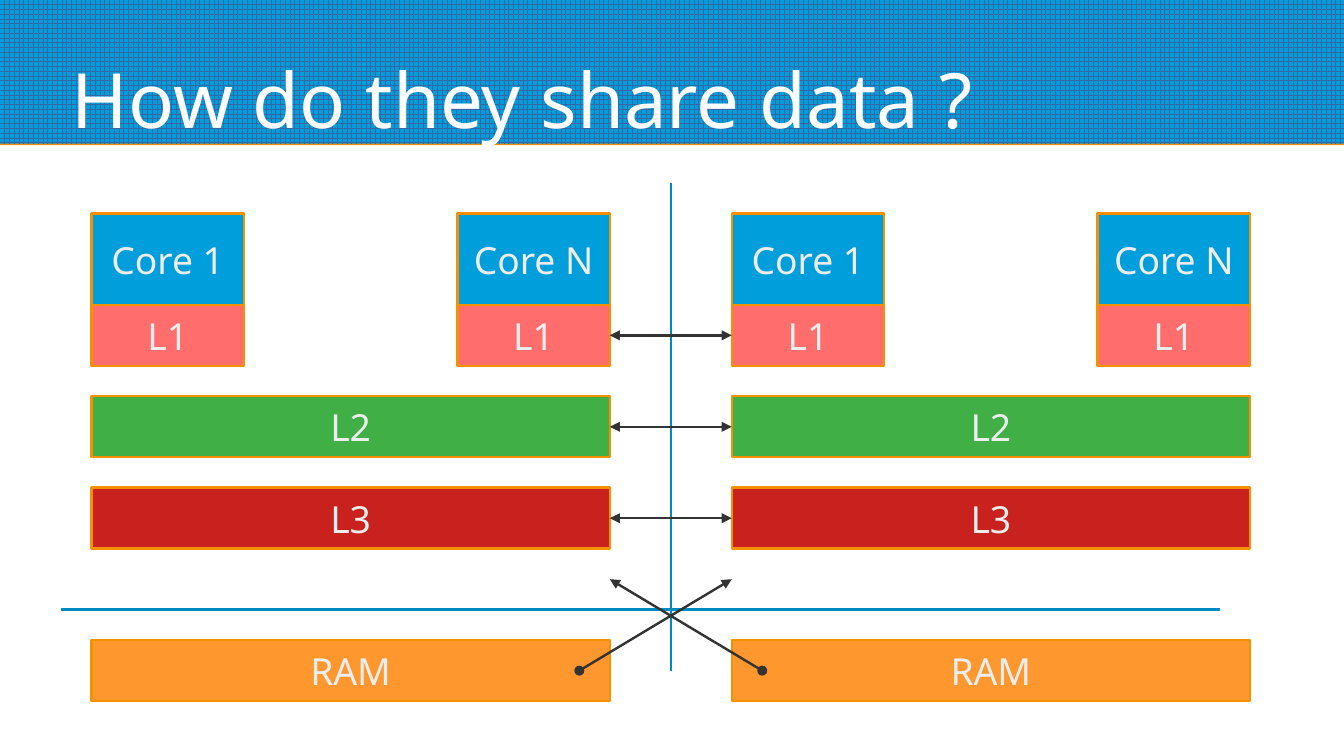
import dataclasses
import lxml.etree
import pptx
import pptx.dml.color
import pptx.enum.dml
import pptx.enum.shapes
import pptx.enum.text
import pptx.oxml.ns
import pptx.util


@dataclasses.dataclass(frozen=True)
class Theme:
    """Colours, type and line sizes of the deck."""
    font: str = "Noto Sans"
    head: float = 45
    body: float = 22
    rule: float = 1.42
    white: str = "FFFFFF"
    label: str = "EEEEEE"
    blue: str = "009EDA"
    grid: str = "3465A4"
    edge: str = "F49100"
    axis: str = "008AC2"
    arrow: str = "333333"
    pink: str = "FF6D6D"
    green: str = "3FAF46"
    red: str = "C9211E"
    amber: str = "FF972F"


theme = Theme()
WIDTH, HEIGHT = 11.02, 6.2
CELL = 0.25
SHAPES = pptx.enum.shapes


def color(code):
    """Turn a hex code into a colour."""
    return pptx.dml.color.RGBColor.from_string(code)


def cells(*counts):
    """Turn grid counts into lengths."""
    return [pptx.util.Inches(count * CELL) for count in counts]


def node(parent, tag, **attrs):
    """Append a drawing element to a parent."""
    return lxml.etree.SubElement(parent, pptx.oxml.ns.qn("a:" + tag), attrs)


def style(para, size, code):
    """Set the font of a paragraph."""
    para.font.name = theme.font
    para.font.size = pptx.util.Pt(size)
    para.font.color.rgb = color(code)


def block(slide, box, text, fill):
    """Draw a labelled rectangle in a grid box."""
    shape = slide.shapes.add_shape(SHAPES.MSO_SHAPE.RECTANGLE, *cells(*box))
    shape.shadow.inherit = False
    shape.fill.solid()
    shape.fill.fore_color.rgb = color(fill)
    shape.line.color.rgb = color(theme.edge)
    shape.line.width = pptx.util.Pt(theme.rule)
    frame = shape.text_frame
    frame.margin_left = frame.margin_right = pptx.util.Inches(0.04)
    frame.margin_top = frame.margin_bottom = pptx.util.Inches(0.04)
    frame.vertical_anchor = pptx.enum.text.MSO_ANCHOR.MIDDLE
    frame.word_wrap = False
    frame.text = text
    para = frame.paragraphs[0]
    para.alignment = pptx.enum.text.PP_ALIGN.CENTER
    style(para, theme.body, theme.label)


def link(slide, ends, code, head=None, tail=None):
    """Draw a line between two grid points with optional heads."""
    line = slide.shapes.add_connector(SHAPES.MSO_CONNECTOR.STRAIGHT, *cells(*ends))
    line.line.color.rgb = color(code)
    line.line.width = pptx.util.Pt(theme.rule)
    props = line._element.spPr
    for tag, kind in (("headEnd", head), ("tailEnd", tail)):
        if kind:
            node(props.find(pptx.oxml.ns.qn("a:ln")), tag, type=kind)
    node(props, "effectLst")


def banner(slide, box, text):
    """Draw the patterned band and set the title in it."""
    left, top, wide, high = [pptx.util.Inches(part) for part in box]
    band = slide.shapes.add_shape(SHAPES.MSO_SHAPE.RECTANGLE, left, top, wide, high)
    band.line.fill.background()
    band.fill.patterned()
    band.fill.pattern = pptx.enum.dml.MSO_PATTERN.LARGE_GRID
    band.fill.fore_color.rgb = color(theme.grid)
    band.fill.back_color.rgb = color(theme.blue)
    glow = node(node(band._element.spPr, "effectLst"), "outerShdw",
                blurRad="0", dist=str(pptx.util.Pt(0.9)), dir="5400000",
                algn="ctr", rotWithShape="0")
    node(glow, "srgbClr", val=theme.edge)

    title = slide.shapes.title
    band._element.addnext(title._element)
    inset = pptx.util.Inches(0.59)
    drop = pptx.util.Inches(0.1)
    title.left, title.top = left + inset, top + drop
    title.width, title.height = wide - 2 * inset, high - drop
    frame = title.text_frame
    frame.text = text
    frame.margin_left = frame.margin_right = 0
    frame.margin_top = frame.margin_bottom = 0
    frame.word_wrap = True
    frame.auto_size = pptx.enum.text.MSO_AUTO_SIZE.NONE
    frame.vertical_anchor = pptx.enum.text.MSO_ANCHOR.BOTTOM
    para = frame.paragraphs[0]
    para.alignment = pptx.enum.text.PP_ALIGN.LEFT
    style(para, theme.head, theme.white)


def socket(slide, box):
    """Stack cores, caches and memory in a grid box."""
    left, top, wide, high = box
    core = 5
    for col, name in ((left, "Core 1"), (left + wide - core, "Core N")):
        block(slide, (col, top, core, 3), name, theme.blue)
        block(slide, (col, top + 3, core, 2), "L1", theme.pink)
    for row, name, fill in ((6, "L2", theme.green), (9, "L3", theme.red),
                            (high - 2, "RAM", theme.amber)):
        block(slide, (left, top + row, wide, 2), name, fill)


def bridge(slide, box):
    """Draw the axes and the data paths across the gap."""
    left, top, wide, high = box
    right, base = left + wide, top + high
    mid = left + wide / 2
    link(slide, (2, base - 3, 40, base - 3), theme.axis)
    link(slide, (mid, base - 1, mid, top - 1), theme.axis)
    for row in (4, 7, 10):
        link(slide, (left, top + row, right, top + row), theme.arrow,
             "triangle", "triangle")
    for start, end in ((right + 1, left), (left - 1, right)):
        link(slide, (start, base - 1, end, base - 4), theme.arrow,
             "oval", "triangle")


def main():
    """Build and save the slide."""
    deck = pptx.Presentation()
    deck.slide_width = pptx.util.Inches(WIDTH)
    deck.slide_height = pptx.util.Inches(HEIGHT)
    slide = deck.slides.add_slide(deck.slide_layouts.get_by_name("Title Only"))
    banner(slide, (0, 0, WIDTH, 0.19 * HEIGHT), "How do they share data ?")
    top, wide, high = 7, 17, 16
    for left in (3, 24):
        socket(slide, (left, top, wide, high))
    bridge(slide, (20, top, 4, high))
    deck.save("out.pptx")


main()
